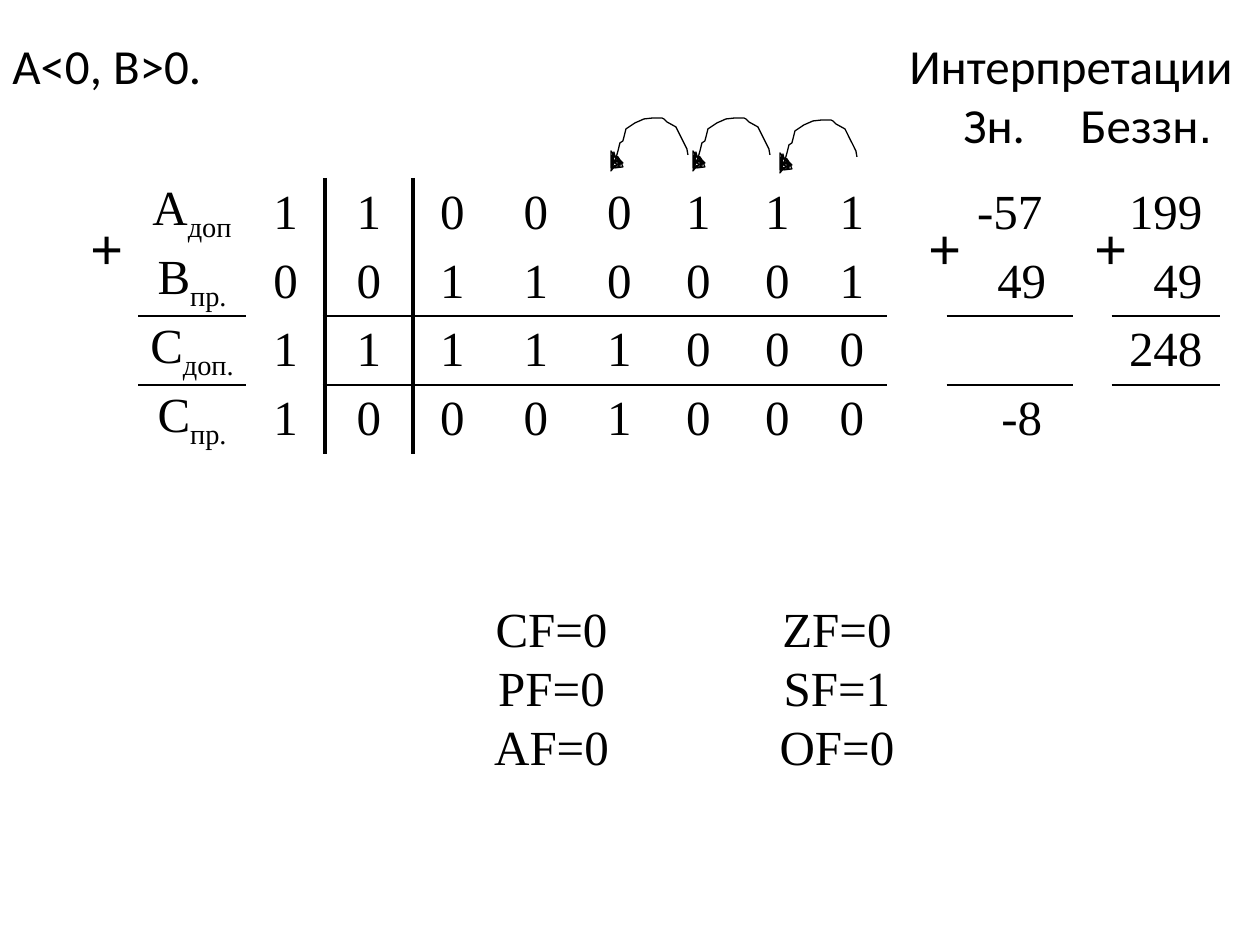
from lxml import etree
from pptx import Presentation
from pptx.dml.color import RGBColor
from pptx.enum.text import MSO_ANCHOR, PP_ALIGN
from pptx.oxml.ns import qn
from pptx.util import Emu, Pt

CENTER, LEFT = PP_ALIGN.CENTER, PP_ALIGN.LEFT
MIDDLE = MSO_ANCHOR.MIDDLE
EMU_PER_PX = 914400 / 126
BLACK = "000000"
SERIF, SANS, HEADING_FONT = "Times New Roman", "Arial", "Calibri"
NO_STYLE = "{2D5ABB26-0587-4C30-8999-92F81FD0307C}"

HEADING = [
    ([("А<0, B>0.\tИнтерпретации", HEADING_FONT)], [897]),
    ([("\tЗн.\tБеззн", HEADING_FONT), (".", SANS)], [951, 1068]),
]

SUM_LABELS = [("А", "доп"), ("B", "пр."), ("С", "доп."), ("С", "пр.")]
SUM_BITS = ["11000111", "00110001", "11111000", "10001000"]
SIGNED = ["-57", "49", "", "-8"]
UNSIGNED = ["199", "49", "248", ""]
SUM_COLUMNS = [108, 79, 88, 79, 88, 79, 79, 79, 70, 60, 126, 39, 108]
SUM_ROW = 69
SUM_LEFT, SUM_TOP = 138, 178
SIGN_COLUMN = 1
GAP_COLUMNS = {9, 11}
RULED_ROWS = {1, 2}
SHIFTED = {"49", "-8"}

FLAGS = [("CF=0", "", "ZF=0"), ("PF=0", "", "SF=1"), ("AF=0", "", "OF=0")]
FLAG_COLUMNS = [179, 33, 326]
FLAG_ROW = 59

PLUS_LEFTS = [78, 916, 1082]

CARRY_POSITIONS = [(610, 118), (692, 118), (779, 120)]
CARRY_ARC = [
    (78, 37), (77, 31), (74, 25), (71, 19), (68, 13), (66, 9), (57, 4), (54, 1),
    (52, 0), (43, 0), (34, 1), (25, 5), (16, 11), (14, 19), (13, 23), (10, 25),
    (8, 33), (5, 44), (3, 47),
]
CARRY_HEAD = [
    (1, 50), (1, 47), (1, 33), (5, 38), (8, 39), (10, 42), (13, 45), (8, 47),
    (4, 48), (6, 49), (4, 50), (1, 49), (3, 35), (4, 44), (5, 44), (8, 42),
    (8, 47), (5, 45), (8, 43), (6, 39), (4, 38), (4, 34), (5, 38), (8, 40),
    (8, 44), (10, 45), (5, 48), (1, 53), (3, 49), (1, 53), (4, 38), (10, 44),
    (10, 48), (5, 50), (13, 49), (11, 44), (10, 47),
]


def px(length):
    """Turn pixels into EMU."""
    return Emu(round(length * EMU_PER_PX))


def color(code):
    """Turn a hex string into a colour."""
    return RGBColor.from_string(code)


def add_run(paragraph, text, font, size, baseline=0):
    """Add one formatted run."""
    run = paragraph.add_run()
    run.text = text
    run.font.name = font
    run.font.size = Pt(size)
    run.font.color.rgb = color(BLACK)
    if baseline:
        run.font._element.set("baseline", str(baseline))


def add_text_frame(slide, left, top, width, height):
    """Add a wrapping text box and return its frame."""
    frame = slide.shapes.add_textbox(px(left), px(top), px(width), px(height)).text_frame
    frame.word_wrap = True
    return frame


def set_tabs(paragraph, stops):
    """Give a paragraph left tab stops."""
    tabs = etree.SubElement(paragraph._p.get_or_add_pPr(), qn("a:tabLst"))
    for stop in stops:
        etree.SubElement(tabs, qn("a:tab"), pos=str(px(stop)), algn="l")


def add_heading(slide):
    """Add the case and the headings of the interpretations."""
    frame = add_text_frame(slide, 0, 29, 1260, 190)
    for index, (runs, stops) in enumerate(HEADING):
        paragraph = frame.add_paragraph() if index else frame.paragraphs[0]
        paragraph.alignment = LEFT
        set_tabs(paragraph, stops)
        for text, font in runs:
            add_run(paragraph, text, font, 28)


def add_carry(slide, left, top):
    """Draw one carry arrow with its scribbled head."""
    start, *rest = [(left + x, top + y) for x, y in CARRY_ARC + CARRY_HEAD]
    builder = slide.shapes.build_freeform(*start, scale=EMU_PER_PX)
    builder.add_line_segments(rest, close=False)
    carry = builder.convert_to_shape()
    carry.shadow.inherit = False
    carry.fill.background()
    carry.line.color.rgb = color(BLACK)
    carry.line.width = Pt(0.75)


def sum_borders(row, column):
    """Return the border widths of a cell of the addition."""
    borders = {}
    if column == SIGN_COLUMN + 1:
        borders["L"] = 3
    if column == SIGN_COLUMN:
        borders["R"] = 3
    elif column not in GAP_COLUMNS:
        width = 1 if column == SIGN_COLUMN + 1 else 1.5
        if row - 1 in RULED_ROWS:
            borders["T"] = width
        if row in RULED_ROWS:
            borders["B"] = width
    return borders


def no_borders(row, column):
    """Return no border widths."""
    return {}


def draw_borders(cell, borders):
    """Draw the given sides of a cell."""
    properties = cell._tc.get_or_add_tcPr()
    for side, width in borders.items():
        line = etree.SubElement(properties, qn(f"a:ln{side}"), w=str(Pt(width)))
        fill = etree.SubElement(line, qn("a:solidFill"))
        etree.SubElement(fill, qn("a:srgbClr"), val=BLACK)


def add_grid(slide, left, top, rows, columns, row_height, borders_of):
    """Add a plain table of centred values."""
    table = slide.shapes.add_table(
        len(rows), len(columns), px(left), px(top),
        px(sum(columns)), px(row_height * len(rows))).table
    table.first_row = table.horz_banding = False
    table._tbl.tblPr.find(qn("a:tableStyleId")).text = NO_STYLE
    for column, width in zip(table.columns, columns):
        column.width = px(width)
    for r, values in enumerate(rows):
        table.rows[r].height = px(row_height)
        for c, value in enumerate(values):
            cell = table.cell(r, c)
            draw_borders(cell, borders_of(r, c))
            cell.fill.background()
            cell.vertical_anchor = MIDDLE
            cell.margin_left = px(33 if value in SHIFTED else 9)
            cell.margin_right = px(9)
            cell.margin_top = cell.margin_bottom = 0
            paragraph = cell.text_frame.paragraphs[0]
            paragraph.alignment = CENTER
            name, index = value if isinstance(value, tuple) else (value, "")
            if name:
                add_run(paragraph, name, SERIF, 28)
            if index:
                add_run(paragraph, index, SERIF, 28, -25000)


def main():
    """Build the slide."""
    deck = Presentation()
    deck.slide_width, deck.slide_height = px(1260), px(945)
    slide = deck.slides.add_slide(deck.slide_layouts[6])
    add_heading(slide)
    for left, top in reversed(CARRY_POSITIONS):
        add_carry(slide, left, top)
    sum_rows = [[label, *bits, "", signed, "", unsigned] for label, bits, signed, unsigned
                in zip(SUM_LABELS, SUM_BITS, SIGNED, UNSIGNED)]
    add_grid(slide, SUM_LEFT, SUM_TOP, sum_rows, SUM_COLUMNS, SUM_ROW, sum_borders)
    for left in PLUS_LEFTS:
        frame = add_text_frame(slide, left, 207, 59, 81)
        add_run(frame.paragraphs[0], "+", SANS, 32)
    add_grid(slide, 462, 601, FLAGS, FLAG_COLUMNS, FLAG_ROW, no_borders)
    deck.save("out.pptx")


if __name__ == "__main__":
    main()
